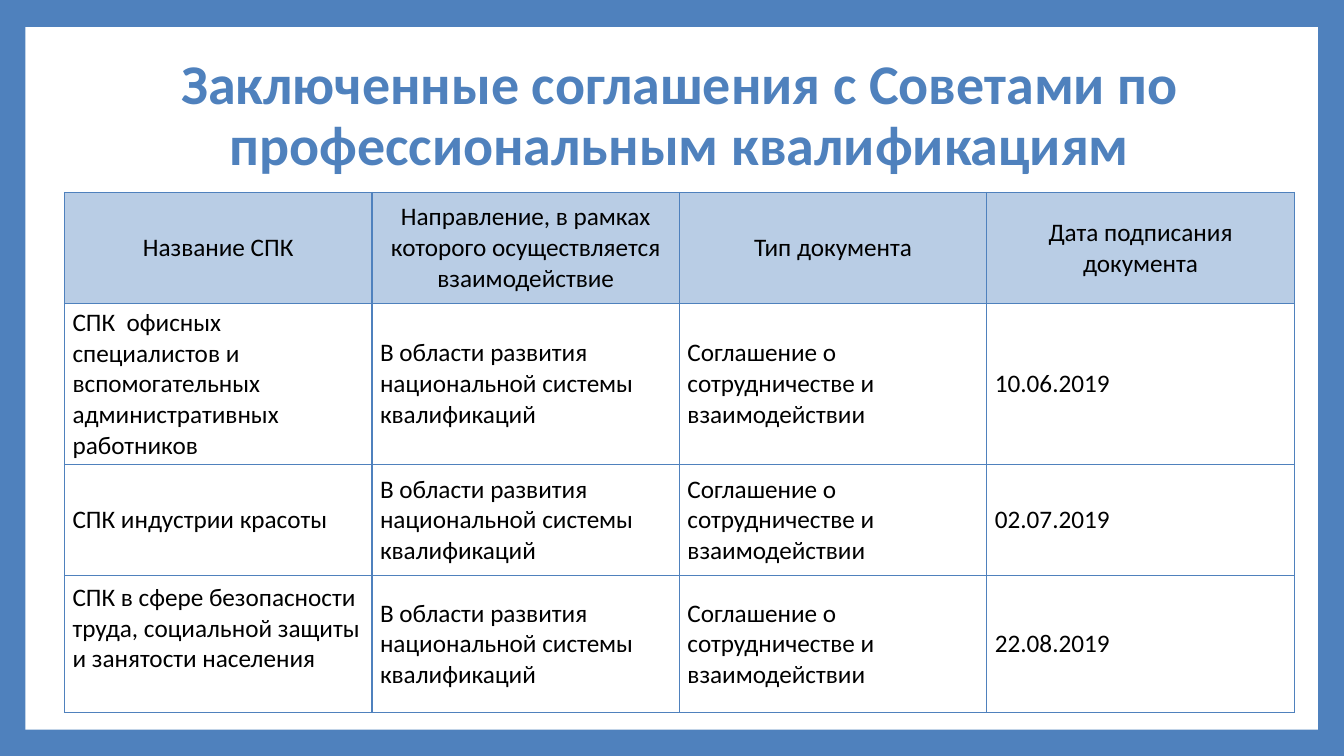
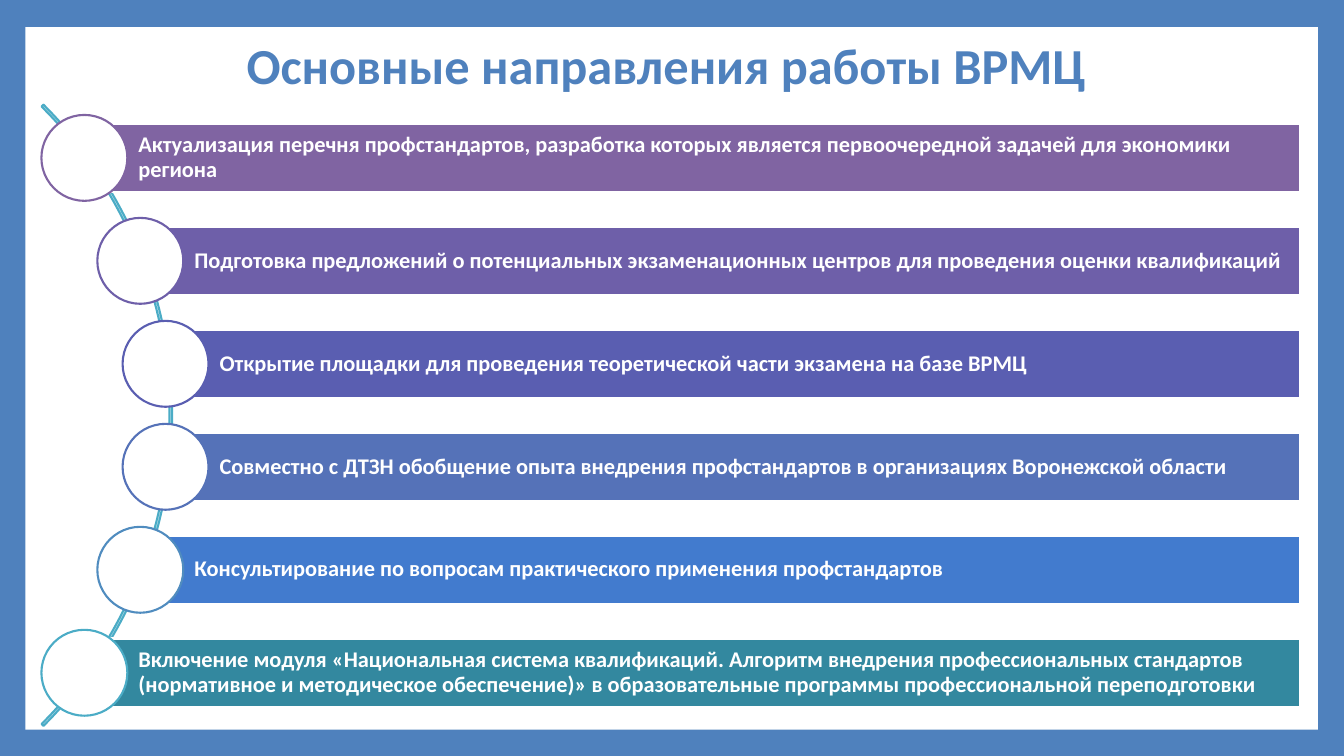
from dataclasses import dataclass
from math import sqrt

from lxml.etree import SubElement
from pptx import Presentation
from pptx.dml.color import RGBColor
from pptx.enum.shapes import MSO_SHAPE
from pptx.enum.text import MSO_ANCHOR, PP_ALIGN
from pptx.oxml.ns import qn
from pptx.util import Emu, Inches, Pt


@dataclass(frozen=True)
class Theme:
    font: str = "Calibri"
    accent: str = "4F81BD"
    paper: str = "FFFFFF"
    ink: str = "000000"
    header: str = "B9CDE5"
    arc: str = "4BACC6"
    large_title: int = 40
    title: int = 36
    table: int = 18
    bar: int = 16
    border: float = 1
    outline: float = 1.5


@dataclass(frozen=True)
class Box:
    left: int
    top: int
    width: int
    height: int

    def inner(self, left, top, width, height):
        """Return an inner box given in percent of this one."""
        return Box(
            self.left + round(self.width * left / 100),
            self.top + round(self.height * top / 100),
            round(self.width * width / 100),
            round(self.height * height / 100),
        )

    def place(self):
        return [Emu(value) for value in (self.left, self.top, self.width, self.height)]


THEME = Theme()
PAGE = Box(0, 0, Inches(13.33), Inches(7.5))

AGREEMENT_FIELD = "В области развития национальной системы квалификаций"
AGREEMENT_TYPE = "Соглашение о сотрудничестве и взаимодействии"
HEADERS = [
    "Название СПК",
    "Направление, в рамках которого осуществляется взаимодействие",
    "Тип документа",
    "Дата подписания документа",
]
# Council name and signing date
AGREEMENTS = [
    ("СПК  офисных  специалистов и вспомогательных административных работников", "10.06.2019"),
    ("СПК индустрии красоты", "02.07.2019"),
    ("СПК в сфере безопасности труда, социальной защиты и занятости населения", "22.08.2019"),
]
ROW_WEIGHTS = [1.1, 1.6, 1.1, 1.36]

# Text, bar colour, dot outline colour
DIRECTIONS = [
    ("Актуализация перечня профстандартов, разработка которых является "
     "первоочередной задачей для экономики региона", "8064A2", "8064A2"),
    ("Подготовка предложений о потенциальных экзаменационных центров "
     "для проведения оценки квалификаций", "6E5FA9", "6E5FA9"),
    ("Открытие площадки для проведения теоретической части экзамена "
     "на базе ВРМЦ", "5A5EB1", "5A5EB1"),
    ("Совместно с ДТЗН обобщение опыта внедрения профстандартов "
     "в организациях Воронежской области", "5572B8", "5572B8"),
    ("Консультирование по вопросам практического применения "
     "профстандартов", "427BCE", "508CBF"),
    ("Включение модуля «Национальная система квалификаций. Алгоритм внедрения "
     "профессиональных стандартов (нормативное и методическое обеспечение)» "
     "в образовательные программы профессиональной переподготовки", "33889F", "4BACC6"),
]


def apply_format(target, values):
    for name, value in values.items():
        setattr(target, name, value)


def write_text(frame, text, size, color, bold=False, align=PP_ALIGN.LEFT, spacing=1.0):
    paragraph = frame.paragraphs[0]
    paragraph.text = text
    apply_format(paragraph, {"alignment": align, "line_spacing": spacing})
    apply_format(paragraph.font, {"name": THEME.font, "size": Pt(size), "bold": bold})
    paragraph.font.color.rgb = RGBColor.from_string(color)


def add_figure(slide, kind, box, fill=None, line=None):
    shape = slide.shapes.add_shape(kind, *box.place())
    shape.shadow.inherit = False
    if fill:
        shape.fill.solid()
        shape.fill.fore_color.rgb = RGBColor.from_string(fill)
    else:
        shape.fill.background()
    if line:
        shape.line.color.rgb = RGBColor.from_string(line)
        shape.line.width = Pt(THEME.outline)
    else:
        shape.line.fill.background()
    return shape


def add_framed_slide(presentation):
    """Blank slide with the coloured border around a white sheet."""
    slide = presentation.slides.add_slide(presentation.slide_layouts[6])
    slide.background.fill.solid()
    slide.background.fill.fore_color.rgb = RGBColor.from_string(THEME.accent)
    add_figure(slide, MSO_SHAPE.RECTANGLE, PAGE.inner(1.88, 3.6, 96.17, 92.93), THEME.paper)
    return slide


def add_title(slide, box, text, size):
    frame = slide.shapes.add_textbox(*box.place()).text_frame
    apply_format(frame, {"word_wrap": True, "vertical_anchor": MSO_ANCHOR.MIDDLE})
    write_text(frame, text, size, THEME.accent, True, PP_ALIGN.CENTER, 0.9)


def add_borders(cell):
    properties = cell._tc.get_or_add_tcPr()
    for position, side in enumerate(("lnL", "lnR", "lnT", "lnB")):
        line = SubElement(properties, qn(f"a:{side}"), w=str(Pt(THEME.border)))
        fill = SubElement(line, qn("a:solidFill"))
        SubElement(fill, qn("a:srgbClr"), val=THEME.accent)
        # Borders precede the fill in the cell properties
        properties.insert(position, line)


def add_agreement_table(slide, box):
    rows = [HEADERS] + [
        (name, AGREEMENT_FIELD, AGREEMENT_TYPE, date) for name, date in AGREEMENTS
    ]
    table = slide.shapes.add_table(len(rows), len(HEADERS), *box.place()).table
    apply_format(table, {"first_row": False, "horz_banding": False})
    for column in table.columns:
        column.width = Emu(box.width // len(HEADERS))
    for row, weight in zip(table.rows, ROW_WEIGHTS):
        row.height = Emu(round(box.height * weight / sum(ROW_WEIGHTS)))
    for row_index, texts in enumerate(rows):
        is_header = row_index == 0
        for column_index, text in enumerate(texts):
            cell = table.cell(row_index, column_index)
            apply_format(cell, {
                "vertical_anchor": MSO_ANCHOR.MIDDLE,
                "margin_left": Inches(0.08), "margin_right": Inches(0.08),
                "margin_top": Inches(0.04), "margin_bottom": Inches(0.04),
            })
            if is_header:
                cell.fill.solid()
                cell.fill.fore_color.rgb = RGBColor.from_string(THEME.header)
            else:
                cell.fill.background()
            add_borders(cell)
            write_text(cell.text_frame, text, THEME.table, THEME.ink,
                       align=PP_ALIGN.CENTER if is_header else PP_ALIGN.LEFT)
    # The last council name sits higher than the rest of its row
    table.cell(len(rows) - 1, 0).margin_bottom = Inches(0.35)


def add_direction_bar(slide, box, text, color):
    bar = add_figure(slide, MSO_SHAPE.RECTANGLE, box, color, THEME.paper)
    margin = Inches(0.04)
    apply_format(bar.text_frame, {
        "word_wrap": True, "vertical_anchor": MSO_ANCHOR.MIDDLE,
        "margin_left": Emu(round(box.height * 0.79)), "margin_right": margin,
        "margin_top": margin, "margin_bottom": margin,
    })
    write_text(bar.text_frame, text, THEME.bar, THEME.paper, True, spacing=0.9)


def add_direction_list(slide, box):
    """Bars whose dots follow an arc centred to the left of the box."""
    dot = round(box.height * 0.143)
    bar_height = round(box.height * 0.114)
    step = (box.height - dot) / (len(DIRECTIONS) - 1)
    dot_radius = box.height * 0.725
    arc_radius = round(box.height * 0.731)
    middle = box.top + box.height / 2
    half_span = (box.height - dot) / 2
    center = box.left + dot / 2 - sqrt(dot_radius ** 2 - half_span ** 2)

    # Arc behind the dots
    arc_box = Box(round(center - arc_radius), round(middle - arc_radius),
                  2 * arc_radius, 2 * arc_radius)
    arc = add_figure(slide, MSO_SHAPE.BLOCK_ARC, arc_box, line=THEME.arc)
    for index, value in enumerate((189, 27, 0.003)):
        arc.adjustments[index] = value

    # Bars and dots
    for index, (text, fill, outline) in enumerate(DIRECTIONS):
        y = box.top + dot / 2 + index * step
        x = center + sqrt(dot_radius ** 2 - (y - middle) ** 2)
        bar_box = Box(round(x), round(y - bar_height / 2),
                      round(box.left + box.width - x), bar_height)
        add_direction_bar(slide, bar_box, text, fill)
        dot_box = Box(round(x - dot / 2), round(y - dot / 2), dot, dot)
        add_figure(slide, MSO_SHAPE.OVAL, dot_box, THEME.paper, outline)


def build_agreements(presentation):
    slide = add_framed_slide(presentation)
    add_title(slide, PAGE.inner(10.05, 5.6, 81.02, 19.73),
              "Заключенные соглашения с Советами по профессиональным квалификациям",
              THEME.large_title)
    add_agreement_table(slide, PAGE.inner(4.8, 25.47, 91.5, 68.8))


def build_directions(presentation):
    slide = add_framed_slide(presentation)
    add_title(slide, PAGE.inner(9.08, 4.67, 81.02, 8.67),
              "Основные направления работы ВРМЦ", THEME.title)
    add_direction_list(slide, PAGE.inner(3.08, 15.2, 93.62, 79.47))


def main():
    presentation = Presentation()
    apply_format(presentation, {"slide_width": PAGE.width, "slide_height": PAGE.height})
    build_agreements(presentation)
    build_directions(presentation)
    presentation.save("out.pptx")


if __name__ == "__main__":
    main()
